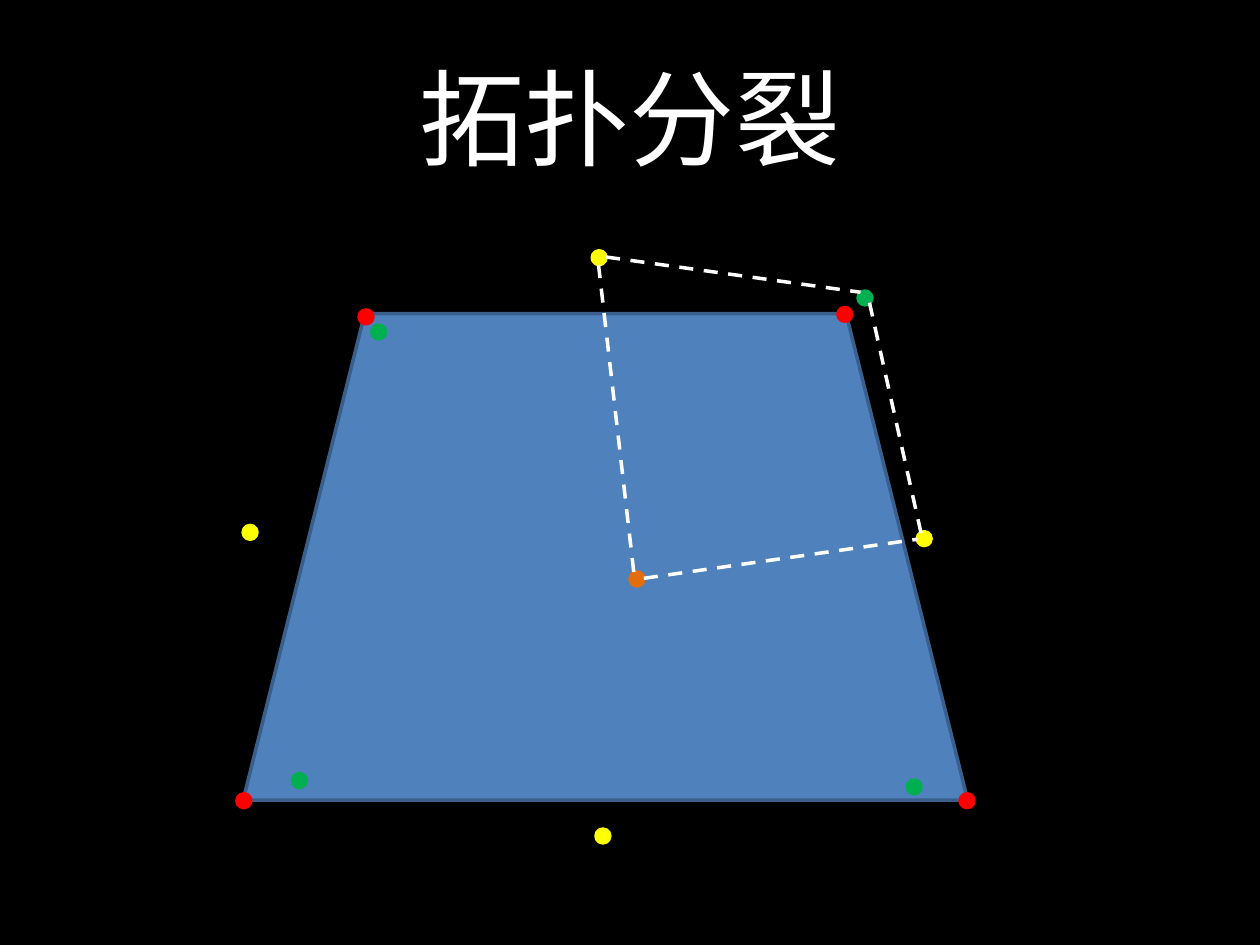
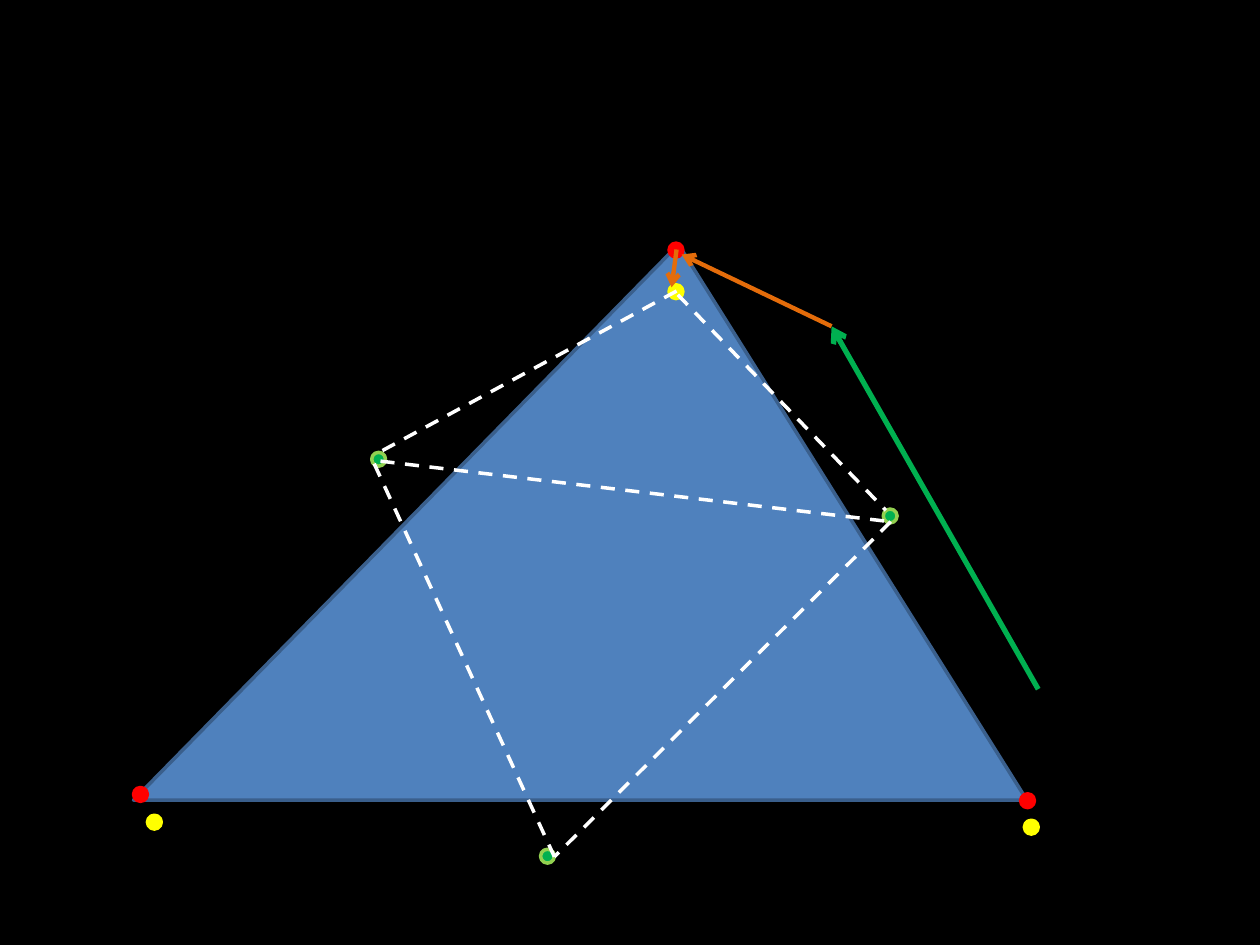
"""Build two slides showing how a quadrilateral and a triangle are split topologically."""
from lxml import etree
from pptx import Presentation
from pptx.dml.color import RGBColor
from pptx.enum.dml import MSO_LINE
from pptx.enum.shapes import MSO_CONNECTOR, MSO_SHAPE
from pptx.enum.text import MSO_ANCHOR, PP_ALIGN
from pptx.oxml.ns import qn
from pptx.util import Inches, Pt

DASH = MSO_LINE.DASH
STRAIGHT = MSO_CONNECTOR.STRAIGHT
DOT = MSO_SHAPE.FLOWCHART_CONNECTOR
TRAPEZOID = MSO_SHAPE.TRAPEZOID
TRIANGLE = MSO_SHAPE.ISOSCELES_TRIANGLE
MIDDLE = MSO_ANCHOR.MIDDLE
CENTER = PP_ALIGN.CENTER

FONT = "Noto Sans CJK SC"
BLACK, WHITE = "000000", "FFFFFF"
BLUE, DARK_BLUE = "4F81BD", "3A5F8C"
RED, YELLOW, ORANGE = "FF0000", "FFFF00", "E46C0A"
GREEN, LIGHT_GREEN = "00B050", "92D050"
DOT_SIZE = 0.11
LINE_WIDTH = 2


def paint(item, line, width=LINE_WIDTH, fill=None):
    """Colour the line of a shape or connector, and the fill if one is given."""
    item.line.color.rgb = RGBColor.from_string(line)
    item.line.width = Pt(width)
    if fill:
        item.fill.solid()
        item.fill.fore_color.rgb = RGBColor.from_string(fill)
        item.shadow.inherit = False


def write_text(shape, text, size, color, font=FONT, align=CENTER, anchor=MIDDLE):
    """Put one formatted paragraph into a shape."""
    frame = shape.text_frame
    frame.word_wrap = True
    frame.vertical_anchor = anchor
    paragraph = frame.paragraphs[0]
    paragraph.alignment = align
    run = paragraph.add_run()
    run.text = text
    run.font.size = Pt(size)
    run.font.name = font
    run.font.color.rgb = RGBColor.from_string(color)
    etree.SubElement(run.font._element, qn("a:ea"), typeface=font)


presentation = Presentation()
presentation.slide_width = Inches(10)
presentation.slide_height = Inches(7.5)

quadrilateral = {
    "title": "拓扑分裂",
    "face": (TRAPEZOID, 0.25, (1.93, 2.49, 5.75, 3.86)),
    "dots": [
        (RED, RED, [(2.85, 2.46), (6.65, 2.44), (1.88, 6.3), (7.62, 6.3)]),
        (YELLOW, YELLOW, [(4.7, 1.99), (7.28, 4.22), (1.93, 4.17), (4.73, 6.58)]),
        (ORANGE, ORANGE, [(5, 4.54)]),
        (GREEN, GREEN, [(2.95, 2.58), (6.81, 2.31), (7.2, 6.19), (2.32, 6.14)]),
    ],
    "dashes": [
        (5.11, 4.59, 7.28, 4.28),
        (5.03, 4.54, 4.75, 2.1),
        (4.81, 2.04, 6.83, 2.32),
        (7.31, 4.23, 6.9, 2.4),
    ],
    "arrows": [],
}
triangle = {
    "title": None,
    "face": (TRIANGLE, 0.61, (1.06, 1.94, 7.09, 4.41)),
    "dots": [
        (RED, RED, [(5.31, 1.93), (1.06, 6.25), (8.1, 6.3)]),
        (YELLOW, YELLOW, [(5.31, 2.26), (1.17, 6.47), (8.13, 6.51)]),
        (GREEN, LIGHT_GREEN, [(7.01, 4.04), (4.29, 6.74), (2.95, 3.59)]),
    ],
    "dashes": [
        (3.02, 3.66, 7.06, 4.14),
        (5.38, 2.34, 7.03, 4.05),
        (5.37, 2.31, 3.01, 3.59),
        (2.97, 3.68, 4.4, 6.8),
        (7.07, 4.14, 4.4, 6.8),
    ],
    "arrows": [
        (GREEN, 3, (8.24, 5.47, 6.6, 2.59)),
        (ORANGE, 2.5, (6.6, 2.59, 5.41, 2.02)),
        (ORANGE, 2.5, (5.37, 1.98, 5.33, 2.28)),
    ],
}

for diagram in (quadrilateral, triangle):
    layout_name = "Title Only" if diagram["title"] else "Blank"
    slide = presentation.slides.add_slide(presentation.slide_layouts.get_by_name(layout_name))
    slide.background.fill.solid()
    slide.background.fill.fore_color.rgb = RGBColor.from_string(BLACK)

    if diagram["title"]:
        title = slide.shapes.title
        title.left, title.top = Inches(0.5), Inches(0.3)
        title.width, title.height = Inches(9), Inches(1.25)
        write_text(title, diagram["title"], size=60, color=WHITE)

    preset, adjustment, box = diagram["face"]
    face = slide.shapes.add_shape(preset, *map(Inches, box))
    face.adjustments[0] = adjustment
    paint(face, DARK_BLUE, fill=BLUE)

    for fill, outline, corners in diagram["dots"]:
        for left, top in corners:
            dot = slide.shapes.add_shape(
                DOT, Inches(left), Inches(top), Inches(DOT_SIZE), Inches(DOT_SIZE))
            paint(dot, outline, fill=fill)

    dashes = [(WHITE, LINE_WIDTH, ends, False) for ends in diagram["dashes"]]
    arrows = [(*arrow, True) for arrow in diagram["arrows"]]
    for color, width, ends, is_arrow in dashes + arrows:
        connector = slide.shapes.add_connector(STRAIGHT, *map(Inches, ends))
        paint(connector, color, width)
        properties = connector._element.spPr
        if is_arrow:
            etree.SubElement(properties.find(qn("a:ln")), qn("a:tailEnd"), type="arrow")
        else:
            connector.line.dash_style = DASH
        etree.SubElement(properties, qn("a:effectLst"))

presentation.save("out.pptx")
